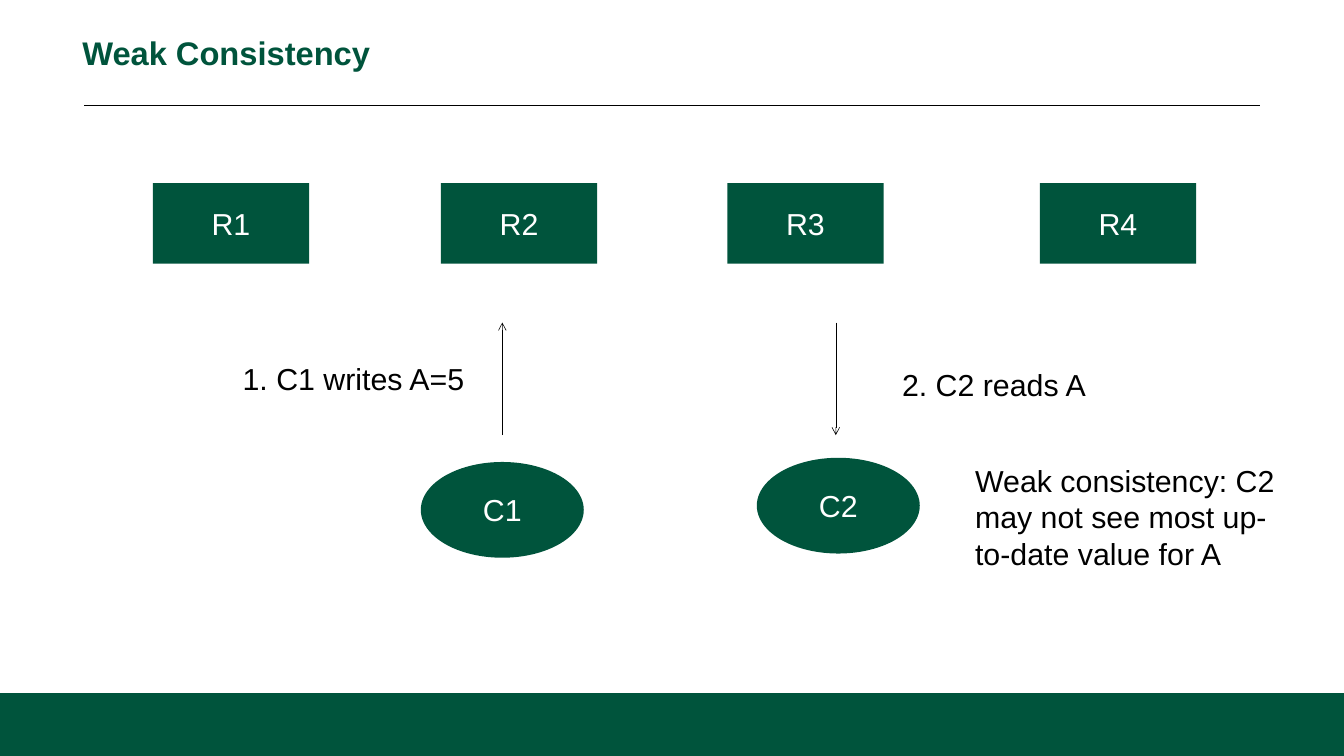
from dataclasses import dataclass

from lxml.etree import SubElement
from pptx import Presentation
from pptx.dml.color import RGBColor
from pptx.enum.shapes import MSO_CONNECTOR, MSO_SHAPE
from pptx.enum.text import MSO_ANCHOR as Anchor, MSO_AUTO_SIZE as AutoSize, PP_ALIGN as Align
from pptx.oxml.ns import qn
from pptx.slide import Slide
from pptx.text.text import TextFrame
from pptx.util import Inches, Pt

COLUMNS, ROWS = 16, 9
SLIDE_WIDTH, SLIDE_HEIGHT = Inches(16), Inches(9)
GREEN, BLACK, WHITE = "00543C", "000000", "FFFFFF"
FONT = "Arial"
BODY_SIZE, TITLE_SIZE = 26, 28


@dataclass(frozen=True)
class Box:
    """A rectangle in grid columns and rows."""
    column: float
    row: float
    width: float
    height: float

    def emu(self) -> tuple[int, int, int, int]:
        return (across(self.column), down(self.row),
                across(self.width), down(self.height))


@dataclass(frozen=True)
class Node:
    text: str
    kind: MSO_SHAPE
    box: Box


@dataclass(frozen=True)
class Label:
    text: str
    box: Box
    wrap: bool = False


@dataclass(frozen=True)
class Line:
    start: tuple[float, float]
    end: tuple[float, float]
    arrow: bool = True


def across(columns: float) -> int:
    return round(SLIDE_WIDTH * columns / COLUMNS)


def down(rows: float) -> int:
    return round(SLIDE_HEIGHT * rows / ROWS)


def color(hex_value: str) -> RGBColor:
    return RGBColor.from_string(hex_value)


def write(frame: TextFrame, text: str, hex_value: str,
          size: float = BODY_SIZE, bold: bool = False) -> None:
    frame.text = text
    font = frame.paragraphs[0].runs[0].font
    font.name, font.size, font.bold = FONT, Pt(size), bold
    font.color.rgb = color(hex_value)


def add_title(slide: Slide, text: str, box: Box) -> None:
    title = slide.shapes.title
    title.left, title.top, title.width, title.height = box.emu()
    frame = title.text_frame
    frame.margin_left = frame.margin_right = frame.margin_top = frame.margin_bottom = 0
    frame.vertical_anchor = Anchor.MIDDLE
    write(frame, text, GREEN, TITLE_SIZE, bold=True)
    paragraph = frame.paragraphs[0]
    paragraph.alignment = Align.LEFT
    paragraph.line_spacing = Pt(32)


def add_node(slide: Slide, node: Node) -> None:
    shape = slide.shapes.add_shape(node.kind, *node.box.emu())
    shape.shadow.inherit = False
    shape.fill.solid()
    shape.fill.fore_color.rgb = color(GREEN)
    shape.line.fill.background()
    if node.text:
        frame = shape.text_frame
        frame.vertical_anchor = Anchor.MIDDLE
        write(frame, node.text, WHITE)
        frame.paragraphs[0].alignment = Align.CENTER


def add_label(slide: Slide, label: Label) -> None:
    frame = slide.shapes.add_textbox(*label.box.emu()).text_frame
    frame.word_wrap = label.wrap
    frame.auto_size = AutoSize.SHAPE_TO_FIT_TEXT
    write(frame, label.text, BLACK)


def add_line(slide: Slide, line: Line) -> None:
    connector = slide.shapes.add_connector(
        MSO_CONNECTOR.STRAIGHT, across(line.start[0]), down(line.start[1]),
        across(line.end[0]), down(line.end[1]))
    connector.line.color.rgb = color(BLACK)
    connector.line.width = Pt(0.5)
    properties = connector.element.spPr
    if line.arrow:
        SubElement(properties.find(qn("a:ln")), qn("a:tailEnd"), type="arrow")
    SubElement(properties, qn("a:effectLst"))


REPLICA_COLUMNS = (1.82, 5.25, 8.66, 12.38)
REPLICAS = [Node(f"R{number}", MSO_SHAPE.RECTANGLE, Box(column, 2.18, 1.86, 0.96))
            for number, column in enumerate(REPLICA_COLUMNS, start=1)]
CLIENT_CORNERS = ((5.01, 5.5), (9.01, 5.45))
CLIENTS = [Node(f"C{number}", MSO_SHAPE.OVAL, Box(column, row, 1.94, 1.14))
           for number, (column, row) in enumerate(CLIENT_CORNERS, start=1)]
FOOTER = Node("", MSO_SHAPE.RECTANGLE, Box(0, 8.25, COLUMNS, 0.75))

ARROW_TOP, ARROW_BOTTOM = 3.84, 5.18
TITLE_RULE = Line((1, 1.25), (15, 1.25), arrow=False)
WRITE_ARROW = Line((5.98, ARROW_BOTTOM), (5.98, ARROW_TOP))
READ_ARROW = Line((9.95, ARROW_TOP), (9.95, ARROW_BOTTOM))

LABELS = [
    Label("1. C1 writes A=5", Box(2.79, 4.24, 2.87, 0.54)),
    Label("2. C2 reads A", Box(10.64, 4.31, 2.42, 0.54)),
    Label("Weak consistency: C2 may not see most up-to-date value for A",
          Box(11.51, 5.45, 4.06, 1.41), wrap=True),
]


def main() -> None:
    presentation = Presentation()
    presentation.slide_width, presentation.slide_height = SLIDE_WIDTH, SLIDE_HEIGHT
    title_only = presentation.slide_layouts[5]
    slide = presentation.slides.add_slide(title_only)
    add_title(slide, "Weak Consistency", Box(0.98, 0.17, 14.02, 0.93))
    for node in (FOOTER, *REPLICAS, *CLIENTS):
        add_node(slide, node)
    for line in (TITLE_RULE, WRITE_ARROW, READ_ARROW):
        add_line(slide, line)
    for label in LABELS:
        add_label(slide, label)
    presentation.save("out.pptx")


if __name__ == "__main__":
    main()
